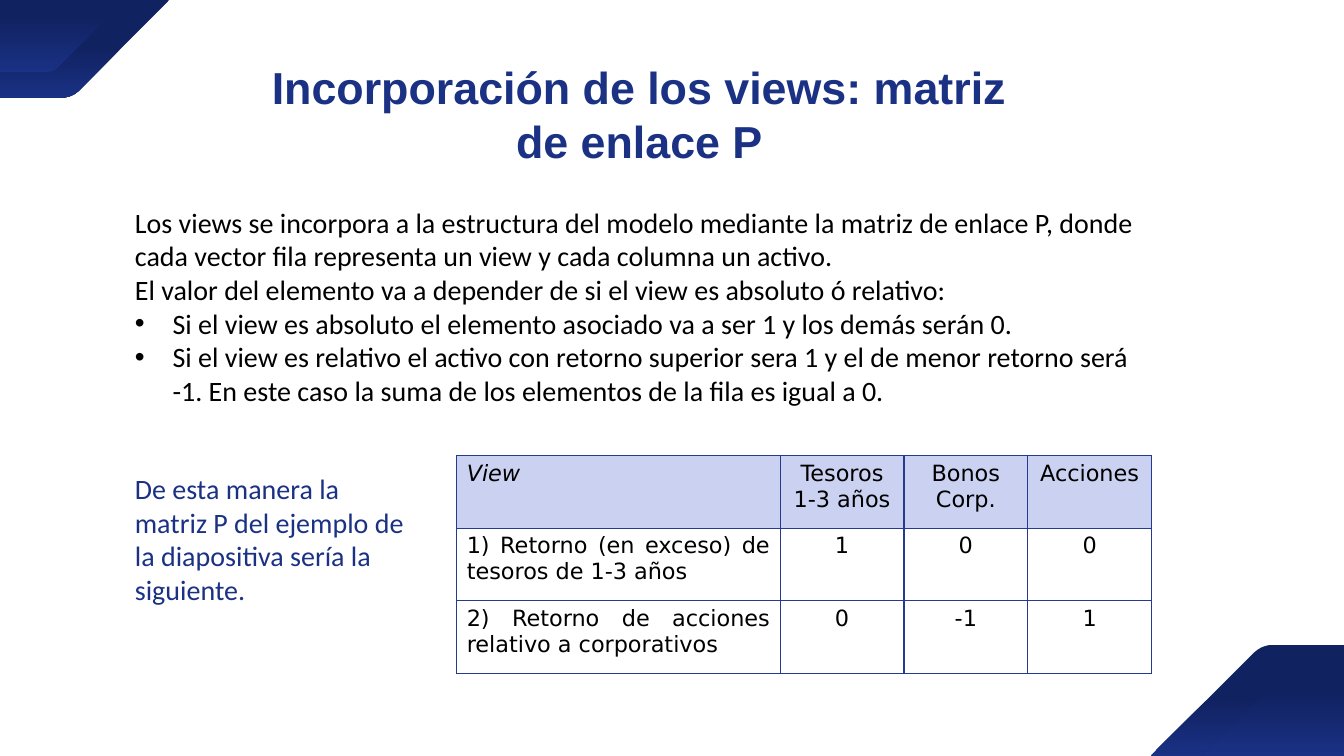
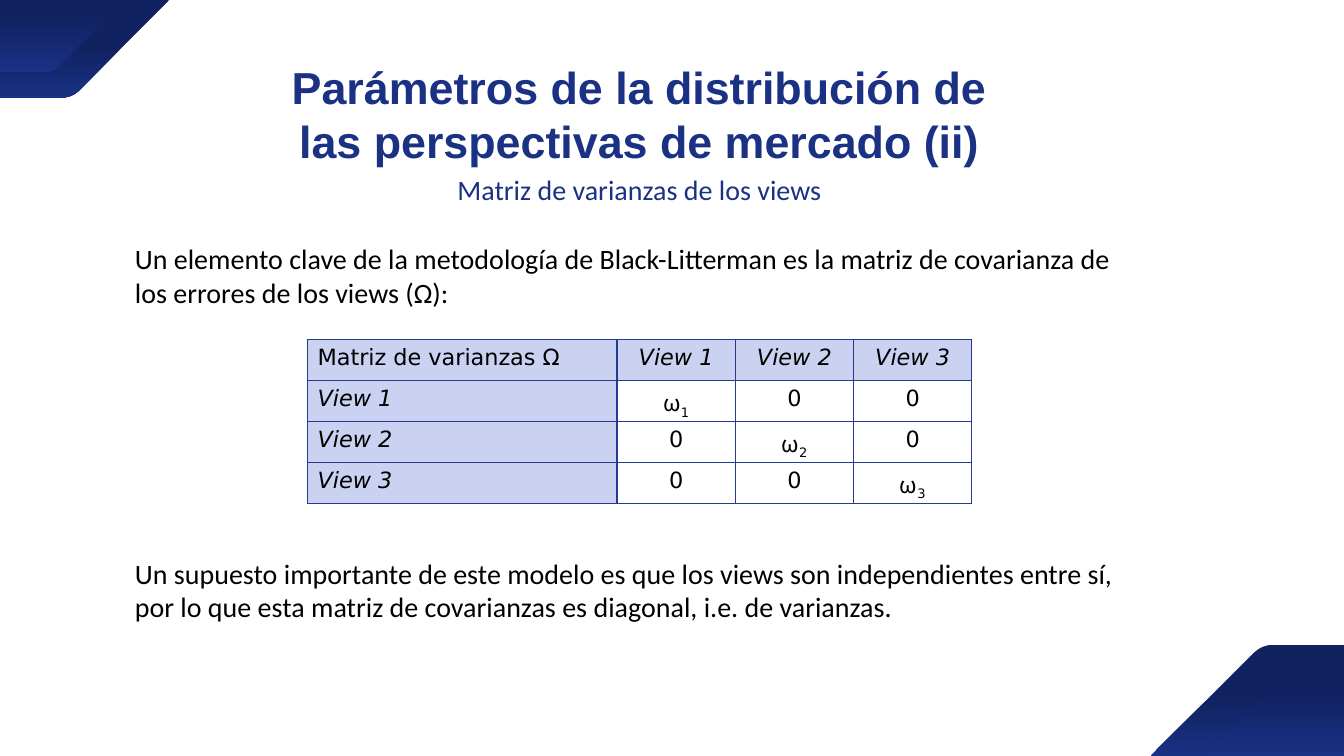
from lxml import etree
from pptx import Presentation
from pptx.dml.color import RGBColor as RGB
from pptx.enum.text import MSO_ANCHOR as Anchor, MSO_AUTO_SIZE as Auto, PP_ALIGN as Align
from pptx.oxml.ns import qn
from pptx.util import Cm, Pt

SLIDE_W, SLIDE_H = 33.87, 19.05
THEME = {
    "navy": RGB.from_string("1A3184"),
    "deep": RGB.from_string("112261"),
    "pale": RGB.from_string("CBD2F1"),
    "black": RGB.from_string("000000"),
    "border": "263A90",
    "title": {"name": "Arial", "size": Pt(32), "bold": True},
    "body": {"name": "Calibri", "size": Pt(20)},
    "cell": {"name": "DejaVu Sans", "size": Pt(16)},
    "symbol": {"name": "Noto Sans CJK KR", "size": Pt(16)},
}
TITLE_BOX = (6.55, 1.37, 19.13, 3)
BODY_X, BODY_W = 3.15, 25.96
BULLET = "•"
BULLET_INDENT = 0.95

CORNER = {"w": 4.27, "h": 2.46, "curve": ((1.52, 2.46), (1.7, 2.46), (1.85, 2.41), (1.98, 2.29))}
CURVE_STEPS = 12
CORNER_LAYERS = ((1, 0.48), (0.74, 0.23))
BOTTOM_SCALE = 1.14

SLIDES = [
    {
        "title": "Incorporación de los views: matriz de enlace P",
        "texts": [
            {"box": (BODY_X, 11.76, 7.52, 4.52), "color": "navy", "lines": [
                "De esta manera la matriz P del ejemplo de la diapositiva sería la siguiente."]},
            {"box": (BODY_X, 5.05, BODY_W, 5.38), "lines": [
                "Los views se incorpora a la estructura del modelo mediante la matriz de enlace P, "
                "donde cada vector fila representa un view y cada columna un activo.",
                "El valor del elemento va a depender de si el view es absoluto ó relativo:",
                (BULLET, "Si el view es absoluto el elemento asociado va a ser 1 y los demás serán 0."),
                (BULLET, "Si el view es relativo el activo con retorno superior sera 1 y el de menor "
                         "retorno será -1. En este caso la suma de los elementos de la fila es igual a 0.")]},
        ],
        "table": {"at": (11.51, 11.48), "cols": (8.15, 3.12), "row": 1.83, "label_fill": False, "rows": [
            ["View", "Tesoros 1-3 años", "Bonos Corp.", "Acciones"],
            ["1) Retorno (en exceso) de tesoros de 1-3 años", "1", "0", "0"],
            ["2) Retorno de acciones relativo a corporativos", "0", "-1", "1"]]},
    },
    {
        "title": "Parámetros de la distribución de las perspectivas de mercado (ii)",
        "texts": [
            {"box": (7.57, 4.22, 17.09, 1.12), "color": "navy", "align": Align.CENTER, "lines": [
                "Matriz de varianzas de los views"]},
            {"box": (BODY_X, 5.97, BODY_W, 1.96), "lines": [
                "Un elemento clave de la metodología de Black-Litterman es la matriz de covarianza "
                "de los errores de los views (Ω):"]},
            {"box": (BODY_X, 13.89, BODY_W, 1.96), "lines": [
                "Un supuesto importante de este modelo es que los views son independientes entre sí, "
                "por lo que esta matriz de covarianzas es diagonal, i.e. de varianzas."]},
        ],
        "table": {"at": (7.75, 8.56), "cols": (7.8, 2.98), "row": 1.03, "label_fill": True, "rows": [
            ["Matriz de varianzas Ω", "View 1", "View 2", "View 3"],
            ["View 1", ("ω", "1"), "0", "0"],
            ["View 2", "0", ("ω", "2"), "0"],
            ["View 3", "0", "0", ("ω", "3")]]},
    },
]


def apply(obj, values):
    for name, value in values.items():
        setattr(obj, name, value)


def add_run(p, text, style, color="black", **extra):
    r = p.add_run()
    r.text = text
    apply(r.font, {**THEME[style], **extra})
    r.font.color.rgb = THEME[color]
    return r


def add_bullet(p):
    pPr = p._p.get_or_add_pPr()
    pPr.set("marL", str(Cm(BULLET_INDENT)))
    pPr.set("indent", str(-Cm(BULLET_INDENT)))
    etree.SubElement(pPr, qn("a:buFont")).set("typeface", "Arial")
    etree.SubElement(pPr, qn("a:buChar")).set("char", BULLET)


def add_text(slide, box, lines, style="body", color="black", align=Align.LEFT, frame=None):
    tf = slide.shapes.add_textbox(*map(Cm, box)).text_frame
    apply(tf, {"word_wrap": True, "auto_size": Auto.SHAPE_TO_FIT_TEXT, **(frame or {})})
    for i, line in enumerate(lines):
        p = tf.add_paragraph() if i else tf.paragraphs[0]
        p.alignment = align
        if isinstance(line, tuple):
            add_bullet(p)
            line = line[1]
        add_run(p, line, style, color)


def corner_points():
    a, b, c, d = CORNER["curve"]
    points = [(0, CORNER["h"])]
    for step in range(CURVE_STEPS + 1):
        t = step / CURVE_STEPS
        u = 1 - t
        weights = (u ** 3, 3 * u * u * t, 3 * u * t * t, t ** 3)
        points.append(tuple(sum(w * q[k] for w, q in zip(weights, (a, b, c, d))) for k in (0, 1)))
    return points + [(CORNER["w"], 0), (0, 0)]


def add_corner(slide, size=1, bottom=False):
    group = slide.shapes.add_group_shape()
    for scale, dark_stop in CORNER_LAYERS:
        points = [(x * scale * size, y * scale * size) for x, y in corner_points()]
        if bottom:
            points = [(SLIDE_W - x, SLIDE_H - y) for x, y in points]
        points = [(Cm(x), Cm(y)) for x, y in points]
        builder = group.shapes.build_freeform(*points[0])
        builder.add_line_segments(points[1:], close=True)
        sp = builder.convert_to_shape()
        sp.shadow.inherit = False
        sp.line.fill.background()
        sp.fill.gradient()
        sp.fill.gradient_angle = 270
        for stop, place, color in zip(sp.fill.gradient_stops, (dark_stop, 1), ("deep", "navy")):
            stop.color.rgb = THEME[color]
            stop.position = place


def add_borders(cell):
    tcPr = cell._tc.get_or_add_tcPr()
    for side in ("lnL", "lnR", "lnT", "lnB"):
        ln = etree.SubElement(tcPr, qn(f"a:{side}"), w=str(Pt(1)))
        fill = etree.SubElement(ln, qn("a:solidFill"))
        etree.SubElement(fill, qn("a:srgbClr"), val=THEME["border"])


def fill_cell(cell, value, is_label, shaded):
    add_borders(cell)
    if shaded:
        cell.fill.solid()
        cell.fill.fore_color.rgb = THEME["pale"]
    else:
        cell.fill.background()
    p = cell.text_frame.paragraphs[0]
    p.alignment = Align.JUSTIFY if is_label else Align.CENTER
    if isinstance(value, tuple):
        symbol, index = value
        add_run(p, symbol, "symbol")
        r = add_run(p, index, "cell")
        r.font._element.set("baseline", "-25000")
    else:
        add_run(p, value, "cell", italic=value.startswith("View"))


def add_matrix(slide, at, cols, row, label_fill, rows):
    n = len(rows[0])
    widths = [cols[0]] + [cols[1]] * (n - 1)
    size = (sum(widths), row * len(rows))
    table = slide.shapes.add_table(len(rows), n, *map(Cm, at + size)).table
    apply(table, {"first_row": False, "horz_banding": False})
    for col, width in zip(table.columns, widths):
        col.width = Cm(width)
    for i, values in enumerate(rows):
        table.rows[i].height = Cm(row)
        for j, value in enumerate(values):
            shaded = i == 0 or (j == 0 and label_fill)
            fill_cell(table.cell(i, j), value, j == 0, shaded)


prs = Presentation()
apply(prs, {"slide_width": Cm(SLIDE_W), "slide_height": Cm(SLIDE_H)})
title_frame = {"vertical_anchor": Anchor.MIDDLE, "margin_left": Cm(0.18), "margin_right": Cm(0.18)}
for content in SLIDES:
    slide = prs.slides.add_slide(prs.slide_layouts[6])
    add_corner(slide, BOTTOM_SCALE, bottom=True)
    add_text(slide, TITLE_BOX, [content["title"]], "title", "navy", Align.CENTER, title_frame)
    add_corner(slide)
    for text in content["texts"]:
        add_text(slide, **text)
    add_matrix(slide, **content["table"])
prs.save("out.pptx")
